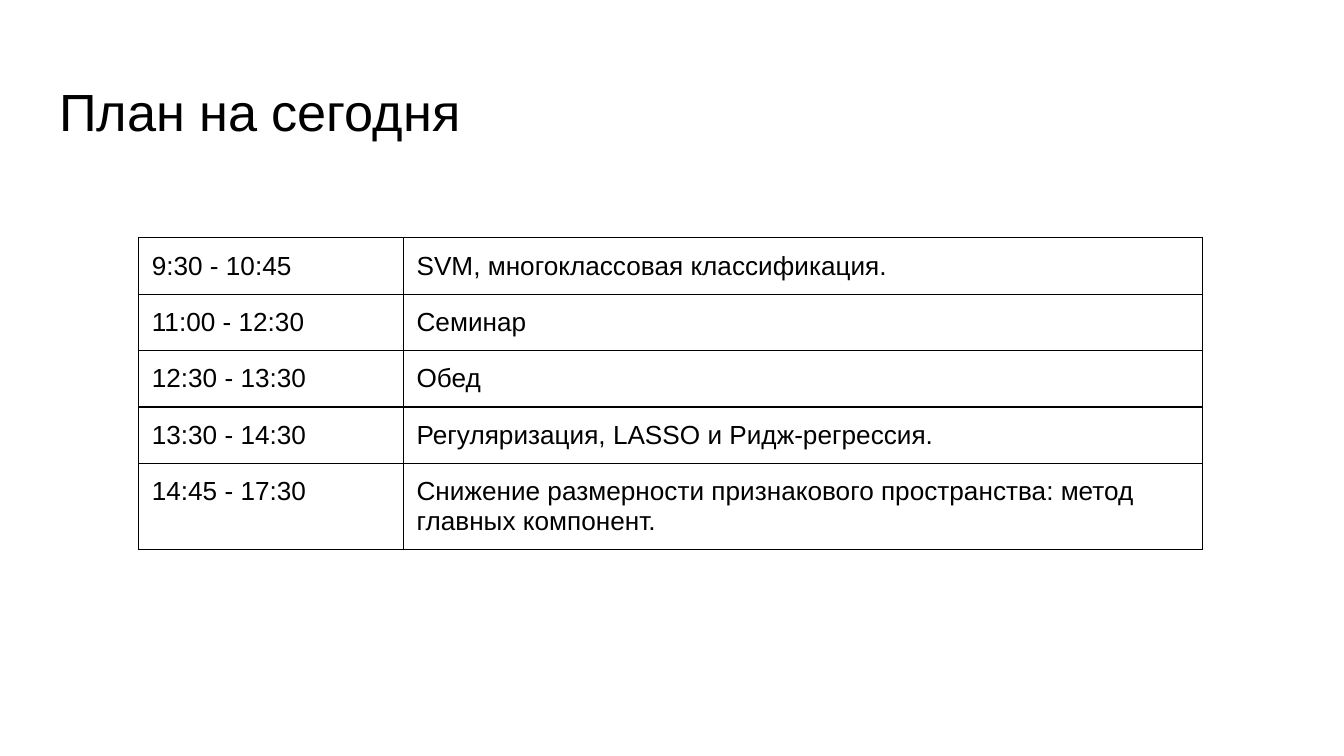
from dataclasses import dataclass

from lxml.etree import SubElement
from pptx import Presentation
from pptx.dml.color import RGBColor
from pptx.enum.text import MSO_ANCHOR, MSO_AUTO_SIZE, PP_ALIGN
from pptx.oxml.ns import qn
from pptx.slide import Slide
from pptx.table import _Cell
from pptx.util import Emu, Inches, Pt


@dataclass(frozen=True)
class Theme:
    font: str = "Arial"
    ink: str = "000000"
    title_size: float = 28
    table_size: float = 14
    border_width: float = 0.75
    inset: float = 0.1


@dataclass(frozen=True)
class Session:
    time: str
    topic: str


THEME = Theme()
WIDTH = Inches(10)
HEIGHT = Emu(WIDTH * 9 // 16)
COLUMN_SHARES = (0.197, 0.595)
ROW_HEIGHT = Inches(0.42)
SESSIONS = (
    Session("9:30 - 10:45", "SVM, многоклассовая классификация."),
    Session("11:00 - 12:30", "Семинар"),
    Session("12:30 - 13:30", "Обед"),
    Session("13:30 - 14:30", "Регуляризация, LASSO и Ридж-регрессия."),
    Session("14:45 - 17:30", "Снижение размерности признакового пространства: "
                             "метод главных компонент."),
)


def apply_format(target: object, values: dict) -> None:
    for name, value in values.items():
        setattr(target, name, value)


def write_text(holder: object, text: str, size: float) -> None:
    """Put one left-aligned paragraph into a shape or a table cell."""
    paragraph = holder.text_frame.paragraphs[0]
    paragraph.alignment = PP_ALIGN.LEFT
    run = paragraph.add_run()
    run.text = text
    apply_format(run.font, {"name": THEME.font, "size": Pt(size)})
    run.font.color.rgb = RGBColor.from_string(THEME.ink)


def add_borders(cell: _Cell) -> None:
    properties = cell._tc.get_or_add_tcPr()
    for side in ("a:lnL", "a:lnR", "a:lnT", "a:lnB"):
        line = SubElement(properties, qn(side), w=str(Pt(THEME.border_width)))
        fill = SubElement(line, qn("a:solidFill"))
        SubElement(fill, qn("a:srgbClr"), val=THEME.ink)


def inset_format() -> dict:
    """Equal margins on all sides, with the text at the top."""
    margins = {f"margin_{side}": Inches(THEME.inset)
               for side in ("left", "right", "top", "bottom")}
    return margins | {"vertical_anchor": MSO_ANCHOR.TOP}


def add_title(slide: Slide, text: str) -> None:
    title = slide.shapes.title
    apply_format(title, {
        "left": Emu(int(WIDTH * 0.034)), "top": Inches(0.49),
        "width": Emu(int(WIDTH * 0.932)), "height": Inches(0.63),
    })
    apply_format(title.text_frame, inset_format() | {
        "word_wrap": True, "auto_size": MSO_AUTO_SIZE.NONE,
    })
    write_text(title, text, THEME.title_size)


def add_schedule(slide: Slide, sessions: tuple[Session, ...]) -> None:
    widths = [Emu(int(WIDTH * share)) for share in COLUMN_SHARES]
    table = slide.shapes.add_table(
        len(sessions), len(widths), Inches(1.03), Inches(1.77),
        Emu(sum(widths)), ROW_HEIGHT * len(sessions)).table
    apply_format(table, {"first_row": False, "horz_banding": False})
    for column, width in zip(table.columns, widths):
        column.width = width

    for row, session in zip(table.rows, sessions):
        row.height = ROW_HEIGHT
        for cell, text in zip(row.cells, (session.time, session.topic)):
            apply_format(cell, inset_format())
            add_borders(cell)
            cell.fill.background()
            write_text(cell, text, THEME.table_size)


def main() -> None:
    presentation = Presentation()
    apply_format(presentation, {"slide_width": WIDTH, "slide_height": HEIGHT})
    slide = presentation.slides.add_slide(presentation.slide_layouts[5])

    # Heading and timetable
    add_title(slide, "План на сегодня")
    add_schedule(slide, SESSIONS)
    presentation.save("out.pptx")


if __name__ == "__main__":
    main()
